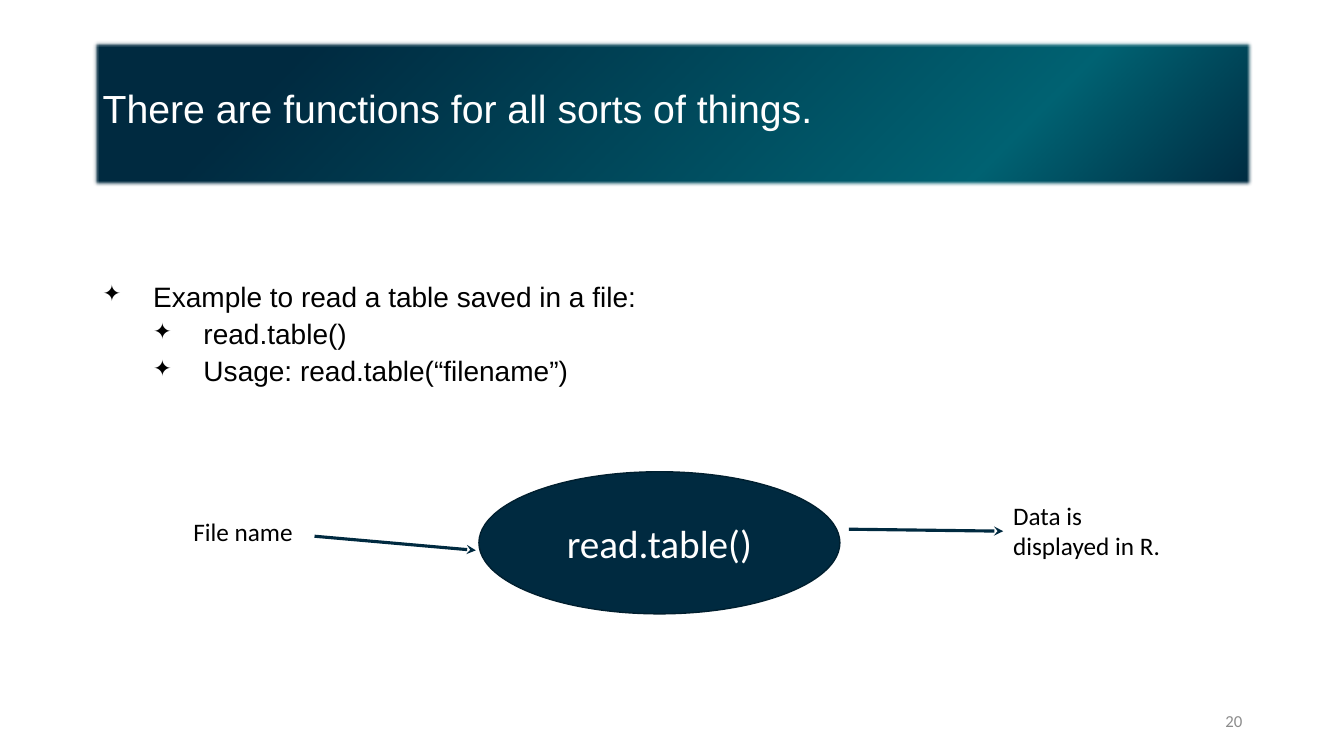
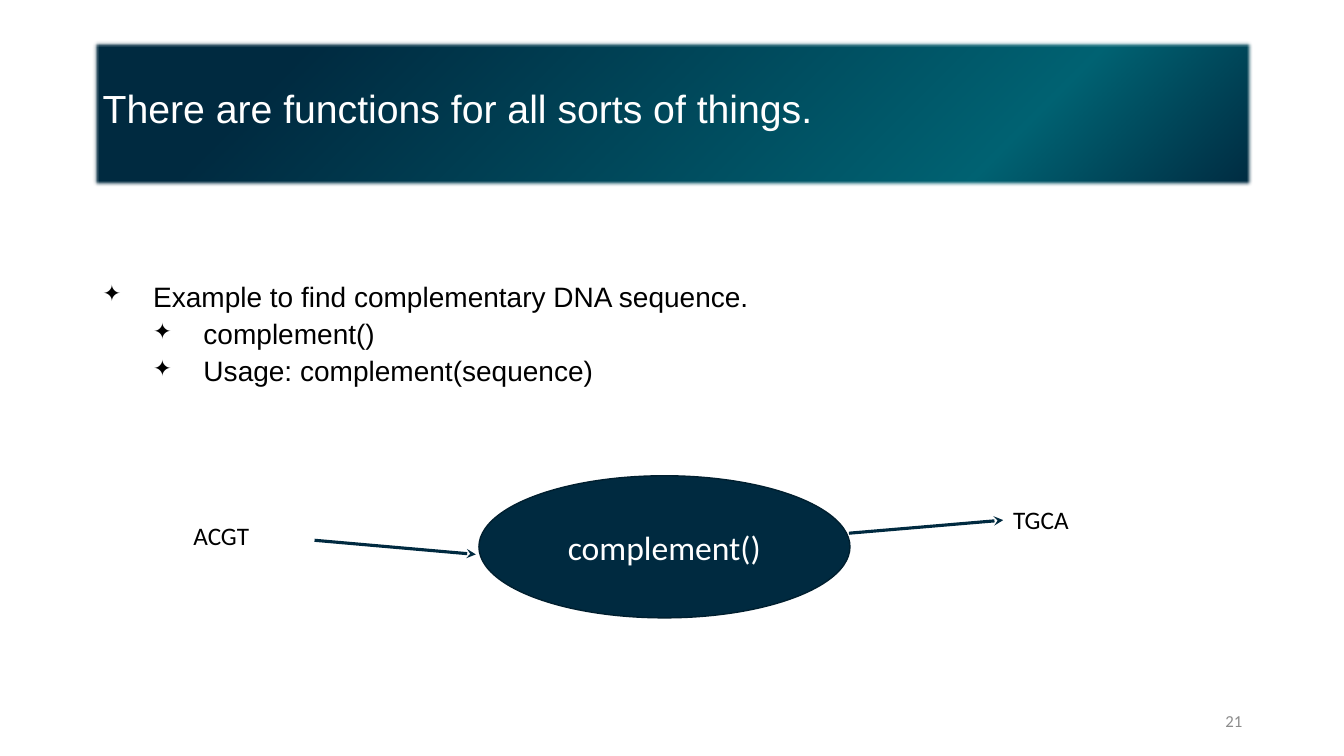
from dataclasses import dataclass

from lxml import etree
from pptx import Presentation
from pptx.dml.color import RGBColor
from pptx.enum.shapes import MSO_CONNECTOR as Connector, MSO_SHAPE as Preset
from pptx.enum.text import MSO_ANCHOR as Anchor, PP_ALIGN as Align
from pptx.oxml import parse_xml
from pptx.oxml.ns import nsdecls, qn
from pptx.util import Inches, Pt


@dataclass(frozen=True)
class Theme:
    navy: str = "002A40"
    teal: str = "006272"
    outline: str = "001F2F"
    white: str = "FFFFFF"
    black: str = "000000"
    grey: str = "8C8C8C"
    heading_font: str = "Arial"
    label_font: str = "Calibri"
    title_size: int = 28
    body_size: int = 20
    label_size: int = 18
    number_size: int = 12


theme = Theme()

TITLE = "There are functions for all sorts of things."
TITLE_GRADIENT = f"""
<a:gradFill {nsdecls("a")} rotWithShape="1">
  <a:gsLst>
    <a:gs pos="0"><a:srgbClr val="{theme.navy}"/></a:gs>
    <a:gs pos="22000"><a:srgbClr val="{theme.teal}"/></a:gs>
    <a:gs pos="83000"><a:srgbClr val="{theme.navy}"/></a:gs>
    <a:gs pos="100000"><a:srgbClr val="{theme.navy}"/></a:gs>
  </a:gsLst>
  <a:path path="circle"><a:fillToRect l="100000" t="100000"/></a:path>
</a:gradFill>"""

SLIDES = [
    {
        "number": "20",
        "bullets": ["Example to read a table saved in a file:", "read.table()",
                    "Usage: read.table(“filename”)"],
        "function": "read.table()",
        "function_size": 28,
        "ellipse_width": 3.58,
        "input": "File name",
        "output": "Data is displayed in R.",
        "output_height": 0.71,
        "diagram_top": 4.68,
        "output_rise": 0.02,
    },
    {
        "number": "21",
        "bullets": ["Example to find complementary DNA sequence.", "complement()",
                    "Usage: complement(sequence)"],
        "function": "complement()",
        "function_size": 24,
        "ellipse_width": 3.68,
        "input": "ACGT",
        "output": "TGCA",
        "output_height": 0.4,
        "diagram_top": 4.72,
        "output_rise": -0.13,
    },
]


def write(shape, lines, font, size, color, align=Align.LEFT, anchor=Anchor.TOP):
    frame = shape.text_frame
    frame.word_wrap = True
    frame.vertical_anchor = anchor
    frame.text = "\n".join(lines)
    for paragraph in frame.paragraphs:
        paragraph.alignment = align
        for run in paragraph.runs:
            run.font.name = font
            run.font.size = Pt(size)
            run.font.color.rgb = RGBColor.from_string(color)
    return frame


def add_arrow(slide, start_x, start_y, end_x, end_y):
    arrow = slide.shapes.add_connector(
        Connector.STRAIGHT, Inches(start_x), Inches(start_y), Inches(end_x), Inches(end_y))
    arrow.line.color.rgb = RGBColor.from_string(theme.navy)
    arrow.line.width = Pt(2.25)
    etree.SubElement(arrow.line._get_or_add_ln(), qn("a:tailEnd"), type="stealth")
    etree.SubElement(arrow._element.spPr, qn("a:effectLst"))


presentation = Presentation()
presentation.slide_width = Inches(13.33)
presentation.slide_height = Inches(7.5)

for content in SLIDES:
    slide = presentation.slides.add_slide(presentation.slide_layouts[6])
    shapes = slide.shapes
    top = content["diagram_top"]

    title = shapes.add_shape(
        Preset.RECTANGLE, Inches(0.92), Inches(0.4), Inches(11.5), Inches(1.45))
    title.line.fill.background()
    title.shadow.inherit = False
    properties = title._element.spPr
    properties.find(qn("a:prstGeom")).addnext(parse_xml(TITLE_GRADIENT))
    etree.SubElement(properties.find(qn("a:effectLst")), qn("a:softEdge"), rad=str(Pt(2.5)))
    frame = write(title, [TITLE], theme.heading_font, theme.title_size, theme.white,
                  anchor=Anchor.MIDDLE)
    frame.margin_top = 0
    frame.paragraphs[0].line_spacing = 0.9

    body = shapes.add_textbox(Inches(0.92), Inches(2.61), Inches(11.76), Inches(2.13))
    frame = write(body, content["bullets"], theme.heading_font, theme.body_size, theme.black)
    frame.margin_top = Inches(0.2)
    frame.margin_right = 0
    for index, paragraph in enumerate(frame.paragraphs):
        paragraph.level = min(index, 1)
        paragraph.line_spacing = 0.9
        if index:
            paragraph.space_before = Pt(5)
        bullet = paragraph._p.get_or_add_pPr()
        bullet.set("marL", str(Inches(0.5 * (paragraph.level + 1))))
        bullet.set("indent", str(Inches(-0.5)))
        etree.SubElement(bullet, qn("a:buSzPct"), val="80000")
        etree.SubElement(bullet, qn("a:buChar"), char="✦")

    ellipse = shapes.add_shape(
        Preset.OVAL, Inches(4.75), Inches(top), Inches(content["ellipse_width"]), Inches(1.41))
    ellipse.shadow.inherit = False
    ellipse.fill.solid()
    ellipse.fill.fore_color.rgb = RGBColor.from_string(theme.navy)
    ellipse.line.color.rgb = RGBColor.from_string(theme.outline)
    ellipse.line.width = Pt(1)
    write(ellipse, [content["function"]], theme.label_font, content["function_size"],
          theme.white, Align.CENTER, Anchor.MIDDLE)

    labels = [
        (content["input"], 1.82, top + 0.39, 1.66, 0.4),
        (content["output"], 9.95, top + 0.23, 1.71, content["output_height"]),
    ]
    for text, *box in labels:
        label = shapes.add_textbox(*map(Inches, box))
        write(label, [text], theme.label_font, theme.label_size, theme.black)

    add_arrow(slide, 3.12, top + 0.64, 4.72, top + 0.78)
    add_arrow(slide, 8.42, top + 0.57, 9.95, top + 0.57 + content["output_rise"])

    number = shapes.add_textbox(Inches(9.42), Inches(6.95), Inches(3), Inches(0.4))
    write(number, [content["number"]], theme.label_font, theme.number_size, theme.grey,
          Align.RIGHT, Anchor.MIDDLE)

presentation.save("out.pptx")
